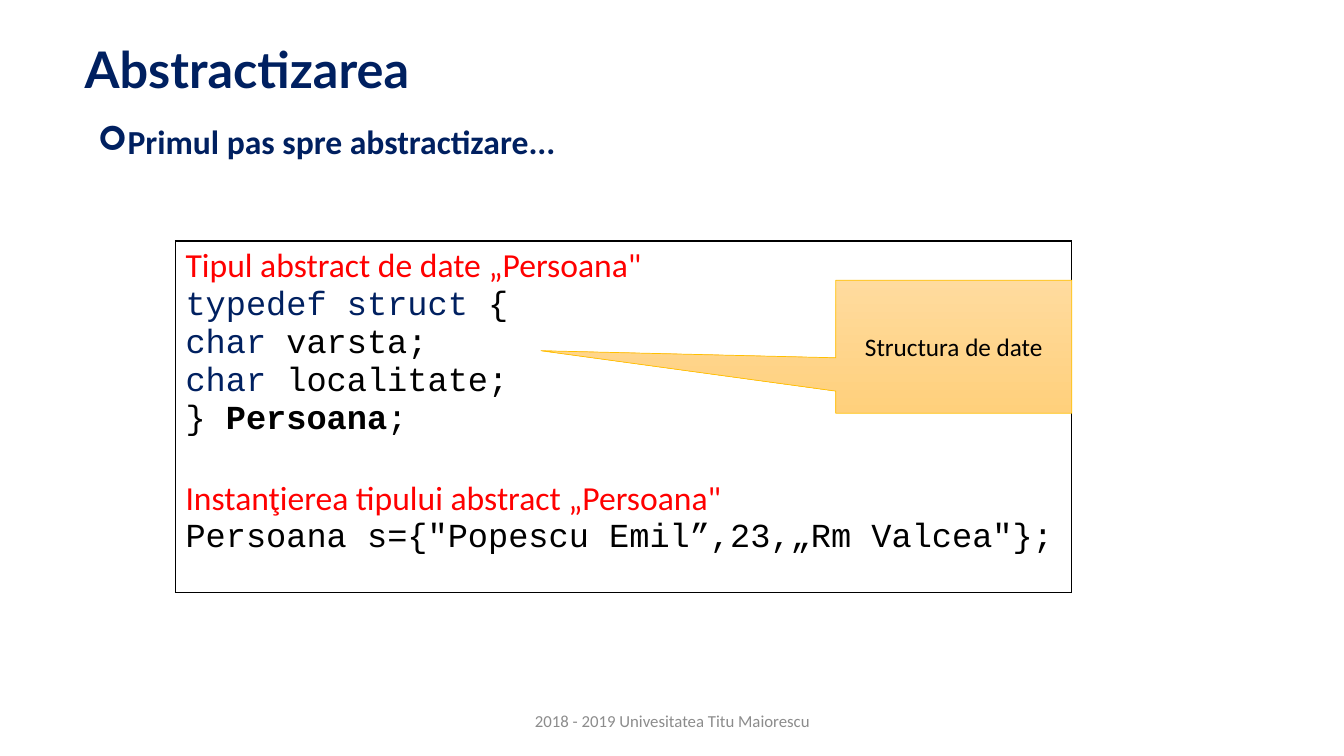
from dataclasses import dataclass
from typing import Optional

from lxml.etree import SubElement
from pptx import Presentation
from pptx.dml.color import RGBColor
from pptx.enum.shapes import MSO_SHAPE
from pptx.enum.text import MSO_ANCHOR, PP_ALIGN
from pptx.oxml.ns import qn
from pptx.util import Inches, Pt


@dataclass(frozen=True)
class Theme:
    navy: str = "002060"
    red: str = "FF0000"
    black: str = "000000"
    grey: str = "8C8C8C"
    callout_top: str = "FFDB9E"
    callout_bottom: str = "FFD07C"
    callout_line: str = "FFC000"
    title_font: str = "Lato"
    body_font: str = "Calibri"
    code_font: str = "Courier New"
    title_size: int = 36
    body_size: int = 24
    callout_size: int = 18
    footer_size: int = 12


THEME = Theme()


@dataclass(frozen=True)
class Piece:
    text: str
    color: Optional[str] = None
    bold: bool = False


@dataclass(frozen=True)
class Line:
    pieces: tuple[Piece, ...]
    font: str = THEME.code_font
    color: str = THEME.black
    gap: float = 0


def keyword(text: str) -> Piece:
    return Piece(text, THEME.navy)


def heading(text: str, gap: float = 0) -> Line:
    return Line((Piece(text),), THEME.body_font, THEME.red, gap)


CODE_LINES = (
    heading('Tipul abstract de date „Persoana"'),
    Line((keyword("typedef struct"), Piece(" {"))),
    Line((keyword("char"), Piece(" varsta;"))),
    Line((keyword("char"), Piece(" localitate;"))),
    Line((Piece("} "), Piece("Persoana", bold=True), Piece(";"))),
    heading('Instanţierea tipului abstract „Persoana"', gap=28),
    Line((Piece('Persoana s={"Popescu Emil”,23,„Rm Valcea"};'),)),
)


def set_font(font, name: str, size: int, color: str, bold: bool = False) -> None:
    font.name, font.size, font.bold = name, Pt(size), bold
    font.color.rgb = RGBColor.from_string(color)


def place(shape, left: float, top: float, width: float, height: float) -> None:
    shape.left, shape.top = Inches(left), Inches(top)
    shape.width, shape.height = Inches(width), Inches(height)


def add_label(slide, text: str, left: float, top: float, width: float, height: float):
    box = slide.shapes.add_textbox(*map(Inches, (left, top, width, height)))
    box.text_frame.word_wrap = True
    box.text_frame.text = text
    return box.text_frame, box.text_frame.paragraphs[0]


def add_bullet(paragraph, symbol: str, margin: float, indent: float) -> None:
    properties = paragraph._p.get_or_add_pPr()
    properties.set("marL", str(Inches(margin)))
    properties.set("indent", str(Inches(indent)))
    SubElement(properties, qn("a:buFont"), typeface="Wingdings")
    SubElement(properties, qn("a:buChar"), char=symbol)


def add_borders(cell, color: str, width: float) -> None:
    properties = cell._tc.get_or_add_tcPr()
    for side in ("L", "R", "T", "B"):
        border = SubElement(properties, qn(f"a:ln{side}"), w=str(Pt(width)))
        fill = SubElement(border, qn("a:solidFill"))
        SubElement(fill, qn("a:srgbClr"), val=color)


def write_lines(frame, lines: tuple[Line, ...]) -> None:
    for number, line in enumerate(lines):
        paragraph = frame.add_paragraph() if number else frame.paragraphs[0]
        set_font(paragraph.font, line.font, THEME.body_size, line.color)
        if line.gap:
            paragraph.space_before = Pt(line.gap)
        for piece in line.pieces:
            run = paragraph.add_run()
            run.text = piece.text
            set_font(run.font, line.font, THEME.body_size,
                     piece.color or line.color, piece.bold)


def add_code_table(slide) -> None:
    frame = slide.shapes.add_table(1, 1, *map(Inches, (1.74, 2.39, 8.89, 3.49)))
    frame.table.first_row = frame.table.horz_banding = False
    cell = frame.table.cell(0, 0)
    add_borders(cell, THEME.black, 1)
    cell.fill.background()
    write_lines(cell.text_frame, CODE_LINES)


def add_callout(slide) -> None:
    callout = slide.shapes.add_shape(
        MSO_SHAPE.RECTANGULAR_CALLOUT, *map(Inches, (8.29, 2.78, 2.34, 1.32)))
    callout.shadow.inherit = False
    callout.adjustments[0], callout.adjustments[1] = -1.75, 0.03
    callout.fill.gradient()
    callout.fill.gradient_angle = 270
    for stop, color in zip(callout.fill.gradient_stops,
                           (THEME.callout_top, THEME.callout_bottom)):
        stop.color.rgb = RGBColor.from_string(color)
    callout.line.color.rgb = RGBColor.from_string(THEME.callout_line)
    callout.line.width = Pt(0.5)
    callout.text_frame.text = "Structura de date"
    callout.text_frame.vertical_anchor = MSO_ANCHOR.MIDDLE
    label = callout.text_frame.paragraphs[0]
    label.alignment = PP_ALIGN.CENTER
    set_font(label.font, THEME.body_font, THEME.callout_size, THEME.black)


def main() -> None:
    presentation = Presentation()
    presentation.slide_width = Inches(13.33)
    presentation.slide_height = Inches(7.5)
    slide = presentation.slides.add_slide(presentation.slide_layouts[5])

    # Title
    title = slide.shapes.title
    place(title, 0.74, 0.23, 9.4, 0.97)
    title.text_frame.text = "Abstractizarea"
    title.text_frame.vertical_anchor = MSO_ANCHOR.MIDDLE
    title_line = title.text_frame.paragraphs[0]
    title_line.alignment = PP_ALIGN.LEFT
    title_line.line_spacing = 0.9
    set_font(title_line.font, THEME.title_font, THEME.title_size, THEME.navy, True)

    # Opening point
    _, point = add_label(slide, "Primul pas spre abstractizare...",
                         0.37, 1.2, 12.78, 5.69)
    add_bullet(point, "➢", 0.75, -0.25)
    point.alignment = PP_ALIGN.JUSTIFY
    point.line_spacing = 0.9
    set_font(point.font, THEME.body_font, THEME.body_size, THEME.navy, True)

    # Footer
    footer_frame, footer = add_label(
        slide, "2018 - 2019 Univesitatea Titu Maiorescu", 4.42, 6.95, 4.5, 0.4)
    footer_frame.vertical_anchor = MSO_ANCHOR.MIDDLE
    footer.alignment = PP_ALIGN.CENTER
    set_font(footer.font, THEME.body_font, THEME.footer_size, THEME.grey)

    # Code and its callout
    add_code_table(slide)
    add_callout(slide)

    presentation.save("out.pptx")


if __name__ == "__main__":
    main()
